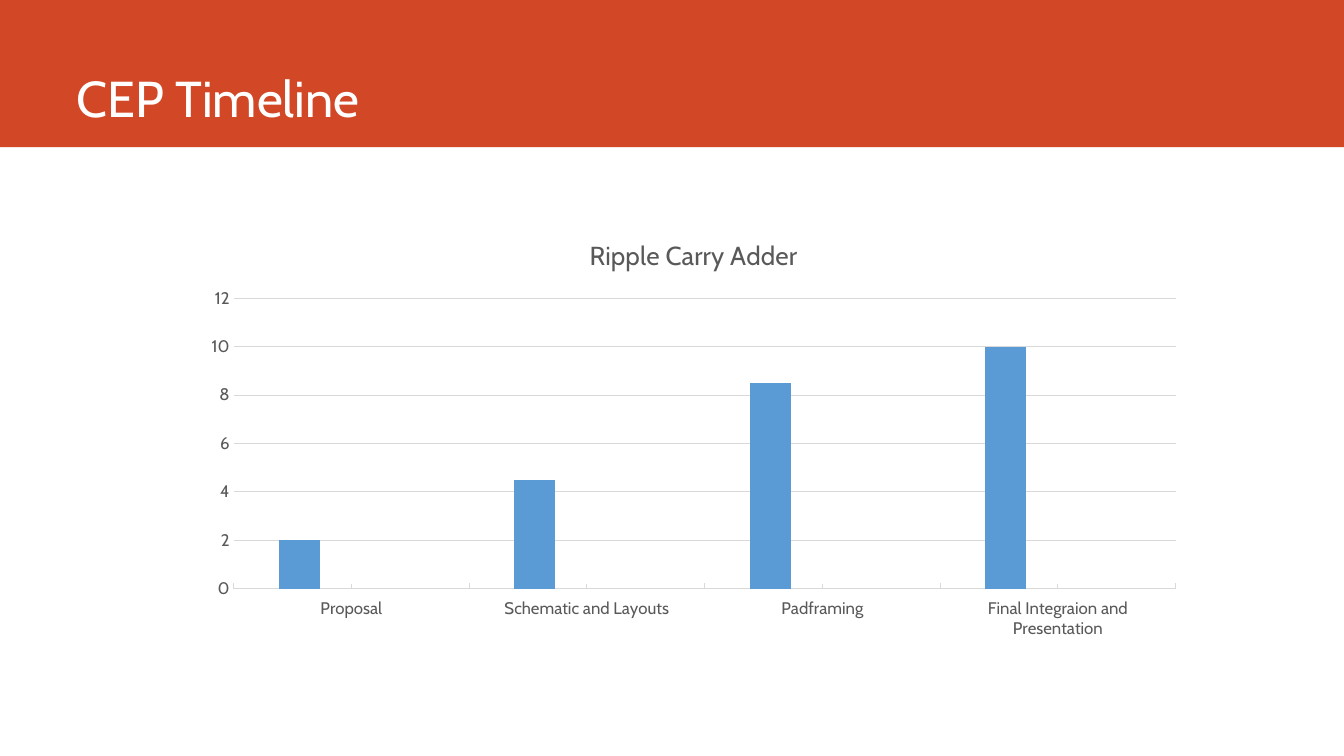
from pptx import Presentation
from pptx.chart.data import CategoryChartData
from pptx.dml.color import RGBColor
from pptx.enum.chart import XL_CHART_TYPE, XL_TICK_LABEL_POSITION, XL_TICK_MARK
from pptx.enum.shapes import MSO_SHAPE
from pptx.enum.text import MSO_ANCHOR, MSO_AUTO_SIZE, PP_ALIGN
from pptx.util import Inches, Pt

FONT = "Cabin"
ORANGE, WHITE, GREY, RULE = "D24726", "FFFFFF", "595959", "D9D9D9"
CATEGORIES = ["Proposal", "Schematic and Layouts", "Padframing",
              "Final Integraion and Presentation"]
SERIES = [("Series 1", [2, 4.5, 8.5, 10], "5B9BD5"),
          ("Series 2", [None] * 4, "ED7D31"),
          ("Series 3", [None] * 4, "A5A5A5")]


def rgb(value):
    return RGBColor.from_string(value)


def set_font(font, size, color):
    font.name = FONT
    font.size = Pt(size)
    font.bold = False
    font.color.rgb = rgb(color)


def set_line(line, color):
    line.color.rgb = rgb(color)
    line.width = Pt(0.75)


def add_header(s, text):
    # Title placeholder
    title = s.shapes.title
    title.left, title.top = Inches(0.66), Inches(0)
    title.width, title.height = Inches(11.76), Inches(1.32)
    tf = title.text_frame
    tf.text = text
    tf.word_wrap = True
    tf.auto_size = MSO_AUTO_SIZE.NONE
    tf.vertical_anchor = MSO_ANCHOR.BOTTOM
    p = tf.paragraphs[0]
    p.alignment = PP_ALIGN.LEFT
    p.line_spacing = 0.9
    set_font(p.runs[0].font, 36, WHITE)

    # Colour band behind the title
    band = s.shapes.add_shape(MSO_SHAPE.RECTANGLE, Inches(0), Inches(0),
                              Inches(13.33), Inches(1.46))
    band.shadow.inherit = False
    band.fill.solid()
    band.fill.fore_color.rgb = rgb(ORANGE)
    band.line.fill.background()
    title.element.addprevious(band.element)


def format_axes(chart):
    cat, val = chart.category_axis, chart.value_axis
    for axis in (cat, val):
        set_font(axis.tick_labels.font, 12, GREY)
    cat.tick_label_position = XL_TICK_LABEL_POSITION.LOW
    cat.major_tick_mark = cat.minor_tick_mark = XL_TICK_MARK.INSIDE
    set_line(cat.format.line, RULE)

    val.minimum_scale, val.maximum_scale, val.major_unit = 0, 12, 2
    val.major_tick_mark = val.minor_tick_mark = XL_TICK_MARK.NONE
    val.format.line.fill.background()
    val.has_major_gridlines = True
    set_line(val.major_gridlines.format.line, RULE)


def add_column_chart(s, heading):
    data = CategoryChartData()
    data.categories = CATEGORIES
    for name, values, _ in SERIES:
        data.add_series(name, values)
    chart = s.shapes.add_chart(XL_CHART_TYPE.COLUMN_CLUSTERED, Inches(1.9),
                               Inches(2.17), Inches(9.96), Inches(4.25),
                               data).chart
    set_font(chart.font, 10, "000000")
    chart.has_legend = False

    # Chart title
    chart.has_title = True
    tf = chart.chart_title.text_frame
    tf.text = heading
    set_font(tf.paragraphs[0].runs[0].font, 18.6, GREY)
    chart.chart_title.include_in_layout = False

    # Columns
    plot = chart.plots[0]
    plot.vary_by_categories = False
    plot.gap_width, plot.overlap = 219, -27
    for series, (_, _, color) in zip(plot.series, SERIES):
        series.format.fill.solid()
        series.format.fill.fore_color.rgb = rgb(color)
    format_axes(chart)


def main():
    prs = Presentation()
    prs.slide_width, prs.slide_height = Inches(13.33), Inches(7.5)
    s = prs.slides.add_slide(prs.slide_layouts[5])
    add_header(s, "CEP Timeline")
    add_column_chart(s, "Ripple Carry Adder")
    prs.save("out.pptx")


if __name__ == "__main__":
    main()
